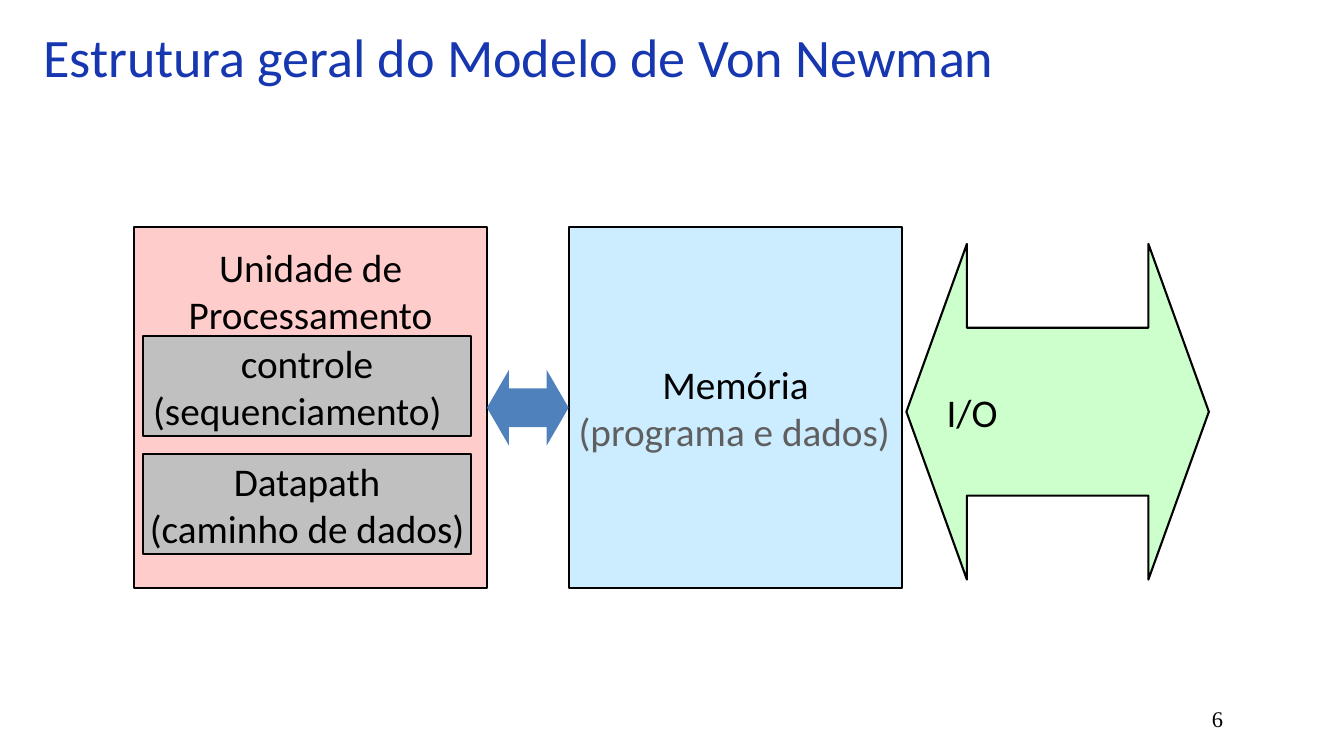
from dataclasses import dataclass

from pptx import Presentation
from pptx.dml.color import RGBColor
from pptx.enum.shapes import MSO_SHAPE
from pptx.enum.text import MSO_ANCHOR, PP_ALIGN
from pptx.util import Emu, Pt

PX = 9144  # one px is a hundredth of an inch
BLACK = "000000"
LEFT, MID = PP_ALIGN.LEFT, PP_ALIGN.CENTER
RECT, ARROW = MSO_SHAPE.RECTANGLE, MSO_SHAPE.LEFT_RIGHT_ARROW


@dataclass
class Line:
    text: str
    align: PP_ALIGN = MID
    color: str = BLACK
    size: float = 28
    font: str = "Calibri"


@dataclass
class Block:
    box: tuple[int, int, int, int]
    fill: str
    lines: tuple[Line, ...] = ()
    kind: MSO_SHAPE = RECT
    edge: bool = True
    adjust: tuple[float, ...] = ()
    anchor: MSO_ANCHOR = MSO_ANCHOR.MIDDLE
    top: int = 5


def px(count: int) -> Emu:
    return Emu(count * PX)


def rgb(color: str) -> RGBColor:
    return RGBColor.from_string(color)


def write(frame, lines: tuple[Line, ...], anchor: MSO_ANCHOR, wrap: bool) -> None:
    frame.word_wrap = wrap
    frame.vertical_anchor = anchor
    frame.text = "\n".join(line.text for line in lines)
    for para, line in zip(frame.paragraphs, lines):
        para.alignment = line.align
        for run in para.runs:
            run.font.name = line.font
            run.font.size = Pt(line.size)
            run.font.color.rgb = rgb(line.color)


def label(slide, box: tuple[int, int, int, int], line: Line, anchor: MSO_ANCHOR) -> None:
    area = slide.shapes.add_textbox(*map(px, box))
    write(area.text_frame, (line,), anchor, True)


def draw(slide, block: Block) -> None:
    shape = slide.shapes.add_shape(block.kind, *map(px, block.box))
    shape.shadow.inherit = False
    shape.fill.solid()
    shape.fill.fore_color.rgb = rgb(block.fill)
    if block.edge:
        shape.line.color.rgb = rgb(BLACK)
        shape.line.width = Pt(1.5)
    else:
        shape.line.fill.background()
    for index, value in enumerate(block.adjust):
        shape.adjustments[index] = value
    if block.lines:
        write(shape.text_frame, block.lines, block.anchor, False)
        shape.text_frame.margin_top = px(block.top)


BLOCKS = (
    # Memory and input/output
    Block((564, 225, 331, 358), "CCECFF",
          (Line("Memória"), Line("(programa e dados)", LEFT, "5F5F5F"))),
    Block((899, 242, 300, 333), "CCFFCC", (Line("I/O", LEFT),),
          ARROW, adjust=(0.5, 0.2)),
    # Processing unit and its link to memory
    Block((133, 225, 350, 358), "FFCCCC",
          (Line("Unidade de"), Line("Processamento")),
          anchor=MSO_ANCHOR.TOP, top=16),
    Block((483, 367, 81, 75), "4F81BD", kind=ARROW, edge=False, adjust=(0.51, 0.29)),
    # Parts of the processing unit
    Block((142, 333, 325, 100), "C0C0C0",
          (Line("controle"), Line("(sequenciamento)", LEFT))),
    Block((142, 450, 325, 100), "C0C0C0",
          (Line("Datapath"), Line("(caminho de dados)"))),
)


def main() -> None:
    deck = Presentation()
    deck.slide_width, deck.slide_height = px(1333), px(750)
    slide = deck.slides.add_slide(deck.slide_layouts[6])

    # Title and page number
    title = Line("Estrutura geral do Modelo de Von Newman", LEFT, "1737B1", 38.7)
    label(slide, (33, 17, 1256, 76), title, MSO_ANCHOR.MIDDLE)
    page = Line("6", LEFT, size=16, font="Times New Roman")
    label(slide, (1192, 695, 75, 40), page, MSO_ANCHOR.TOP)

    # Diagram
    for block in BLOCKS:
        draw(slide, block)
    deck.save("out.pptx")


if __name__ == "__main__":
    main()
